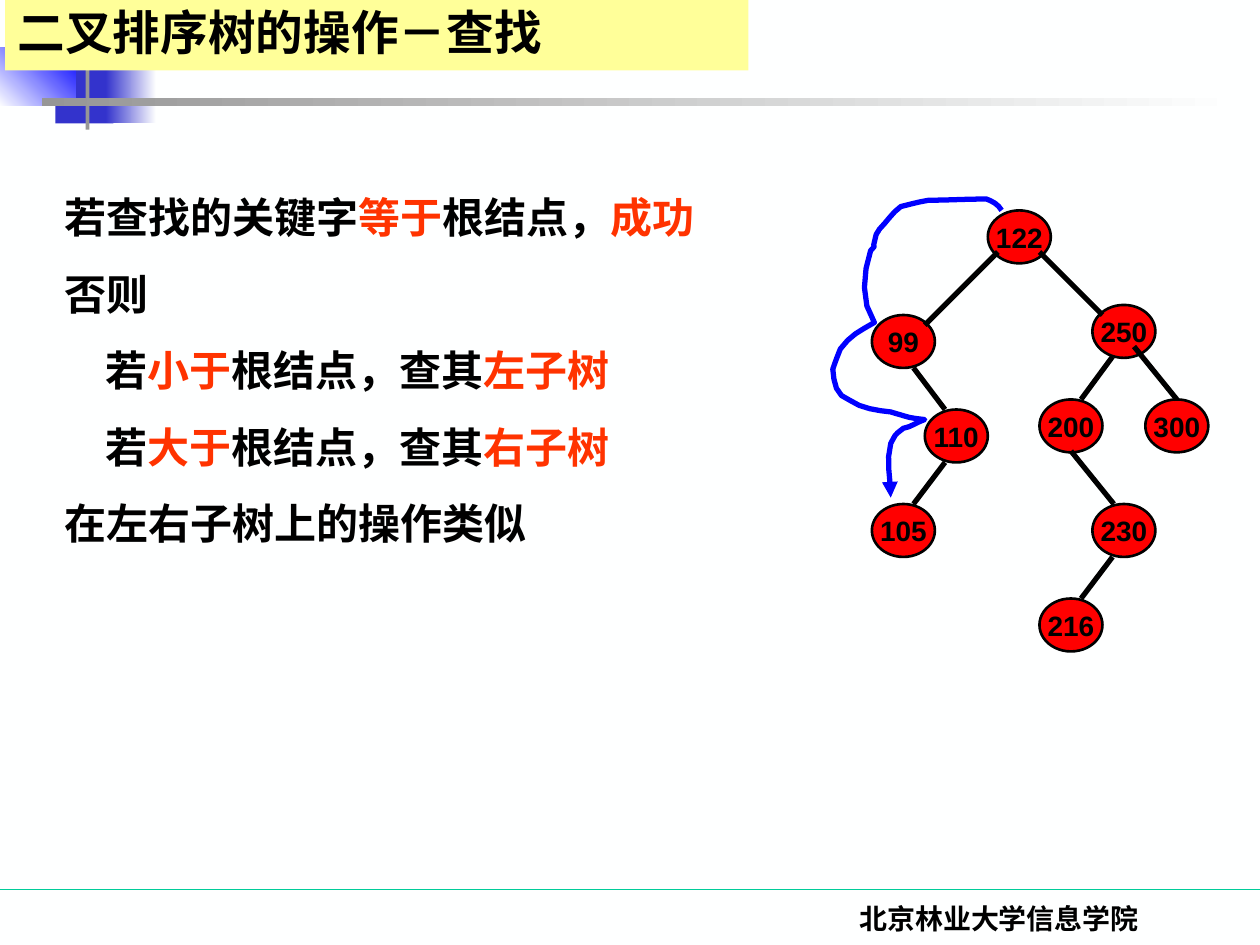
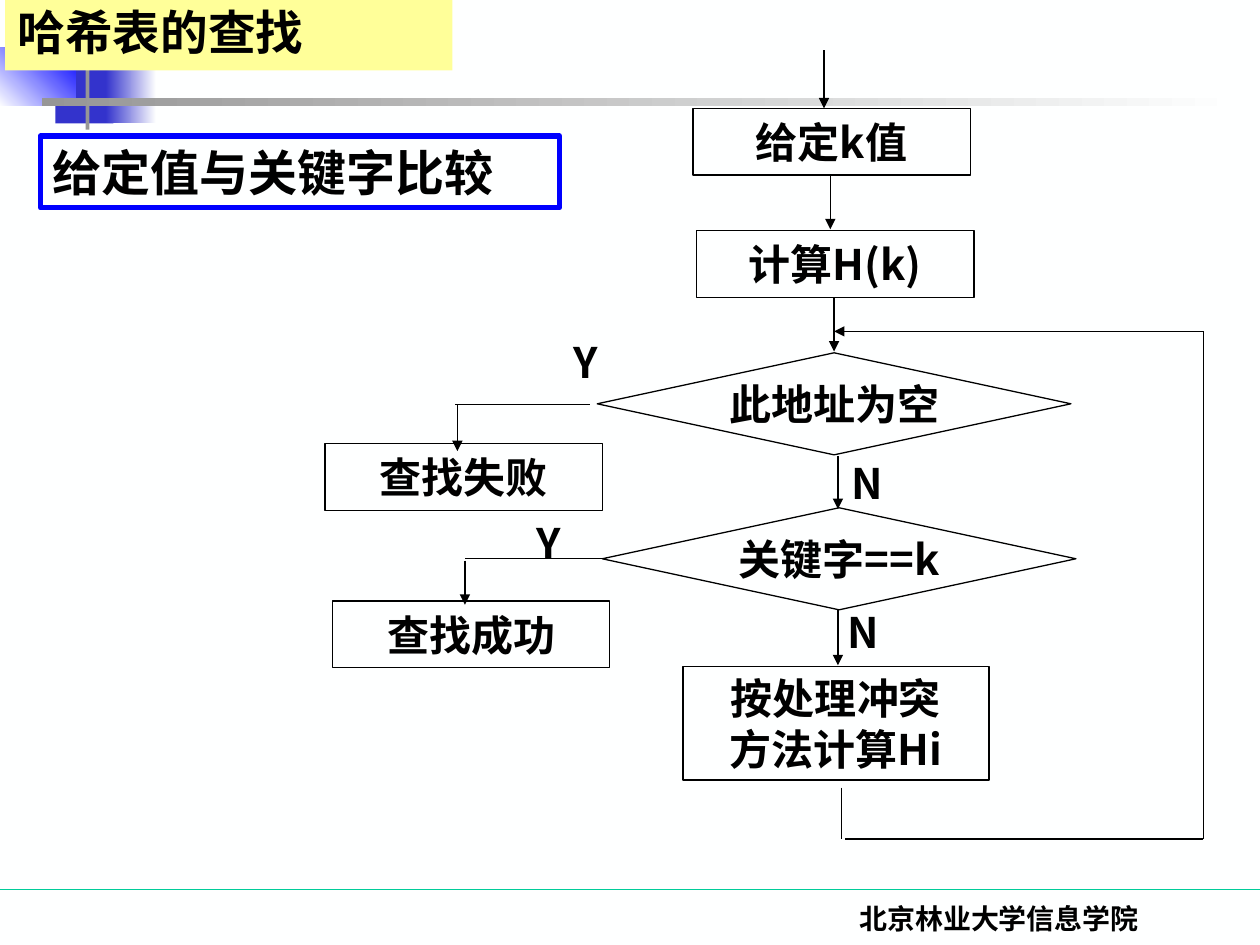
from lxml import etree
from pptx import Presentation
from pptx.dml.color import RGBColor
from pptx.enum.shapes import MSO_CONNECTOR, MSO_SHAPE
from pptx.enum.text import MSO_ANCHOR, PP_ALIGN
from pptx.oxml.ns import qn
from pptx.util import Inches, Pt

RECT, OVAL = MSO_SHAPE.RECTANGLE, MSO_SHAPE.OVAL
STEP, TEST = MSO_SHAPE.FLOWCHART_PROCESS, MSO_SHAPE.FLOWCHART_DECISION
LEFT, MID = PP_ALIGN.LEFT, PP_ALIGN.CENTER
TOP, CENTER = MSO_ANCHOR.TOP, MSO_ANCHOR.MIDDLE
STRAIGHT = MSO_CONNECTOR.STRAIGHT
HAN = "Noto Sans CJK SC"
BLACK, WHITE, RED, BLUE = "000000", "FEFFFF", "FF3300", "0000FF"
GRAY, NAVY, INDIGO = "969696", "003366", "3333CC"
rgb = RGBColor.from_string


def box(slide, kind, at, text="", size=24, fill=None, line=None, width=0.75,
        font=HAN, align=LEFT, anchor=CENTER):
    """Add a shape, or a text box if kind is None; |marks| make text red."""
    spot = [Inches(v) for v in at]
    if kind is None:
        shape = slide.shapes.add_textbox(*spot)
    else:
        shape = slide.shapes.add_shape(kind, *spot)
        shape.shadow.inherit = False
    if isinstance(fill, tuple):
        shape.fill.gradient()
        shape.fill.gradient_angle = fill[2]
        for stop, color in zip(shape.fill.gradient_stops, fill):
            stop.color.rgb = rgb(color)
    elif fill:
        shape.fill.solid()
        shape.fill.fore_color.rgb = rgb(fill)
    else:
        shape.fill.background()
    if line:
        shape.line.color.rgb = rgb(line)
        shape.line.width = Pt(width)
    else:
        shape.line.fill.background()
    if not text:
        return shape
    frame = shape.text_frame
    frame.text = text
    frame.word_wrap = align == LEFT
    frame.vertical_anchor = anchor
    for para in frame.paragraphs:
        para.alignment = align
        parts = para.text.split("|")
        para.text = parts[0]
        for part in parts[1:]:
            para.add_run().text = part
        for i, run in enumerate(para.runs):
            run.font.size = Pt(size)
            run.font.bold = True
            run.font.color.rgb = rgb(RED if i % 2 else BLACK)
            run.font.name = font
            east = etree.SubElement(run.font._element, qn("a:ea"))
            east.set("typeface", HAN)
    return shape


def link(slide, x1, y1, x2, y2, head=False, color=BLACK, width=0.75):
    """Add a straight line, with an arrowhead at its end if asked."""
    ends = [Inches(v) for v in (x1, y1, x2, y2)]
    wire = slide.shapes.add_connector(STRAIGHT, *ends)
    wire.line.color.rgb = rgb(color)
    wire.line.width = Pt(width)
    etree.SubElement(wire._element.spPr, qn("a:effectLst"))
    if head:
        tail = etree.SubElement(wire.line._get_or_add_ln(), qn("a:tailEnd"))
        tail.set("type", "triangle")


deck = Presentation()
deck.slide_width, deck.slide_height = Inches(10), Inches(7.5)

# Shared look: background, corner art, footer and title band
art = [
    ((0.31, 0, 0.48, 0.52), NAVY),
    ((0.72, 0, 0.36, 0.52), (NAVY, WHITE, 0)),
    ((0.44, 0.46, 0.46, 0.52), INDIGO),
    ((0.84, 0.46, 0.4, 0.52), (INDIGO, WHITE, 0)),
    ((-0.01, 0.38, 0.61, 0.46), (WHITE, BLUE, 45)),
    ((0.68, -0.12, 0.03, 1.15), GRAY),
    ((0.33, 0.78, 9.51, 0.06), (GRAY, WHITE, 0)),
]
slides = []
for title, wide in (("二叉排序树的操作－查找", 5.9), ("哈希表的查找", 3.55)):
    slide = deck.slides.add_slide(deck.slide_layouts[6])
    slide.background.fill.solid()
    slide.background.fill.fore_color.rgb = rgb(WHITE)
    link(slide, 0, 7.06, 10, 7.06, color="00CC99")
    for at, fill in art:
        box(slide, RECT, at, fill=fill)
    box(slide, None, (5.86, 7.11, 4.14, 0.5), "北京林业大学信息学院", 16,
        font="Times New Roman", align=MID, anchor=TOP)
    band = box(slide, RECT, (0.04, 0, wide, 0.56), title, 27.2, fill="FFFF99")
    band.text_frame.paragraphs[0].line_spacing = 0.9
    slides.append(slide)
tree, hash_flow = slides

# Slide 1: search rules
rules = """若查找的关键字|等于|根结点，|成功
否则
若|小于|根结点，查其|左子树
若|大于|根结点，查其|右子树
在左右子树上的操作类似"""
body = box(tree, None, (-0.09, 1.47, 6.04, 2.94), rules, anchor=TOP)
body.text_frame.margin_left = Inches(0.6)
for para in body.text_frame.paragraphs:
    para.space_before = Pt(15)
    if para.text.startswith("若") and "查其" in para.text:
        para._p.get_or_add_pPr().set("marL", str(Inches(0.33)))

# Slide 1: tree nodes and branches
nodes = {122: (7.84, 1.67), 250: (8.67, 2.42), 300: (9.09, 3.17),
         110: (7.34, 3.25), 200: (8.25, 3.17), 99: (6.92, 2.5),
         105: (6.92, 4), 230: (8.67, 4), 216: (8.25, 4.75)}
for key, (x, y) in nodes.items():
    box(tree, OVAL, (x, y, 0.5, 0.42), str(key), 16, fill="FF0000",
        line=BLACK, width=1.5, font="Arial", align=MID)
for ends in ((7.92, 2, 7.34, 2.58), (8.25, 2, 8.75, 2.5),
             (9, 2.75, 9.34, 3.17), (8.83, 2.83, 8.58, 3.17),
             (7.25, 2.92, 7.5, 3.25), (7.5, 3.67, 7.25, 4),
             (8.5, 3.58, 8.84, 4), (8.83, 4.42, 8.58, 4.75)):
    link(tree, *ends, width=3)

# Slide 1: search route, each curve as two controls and an end point
route = [
    (7.92, 1.62, 7.88, 1.6, 7.83, 1.58), (7.67, 1.58, 7.52, 1.59, 7.37, 1.59),
    (7.3, 1.6, 7.15, 1.64, 7.15, 1.64), (7.08, 1.69, 7.04, 1.76, 6.98, 1.82),
    (6.97, 1.84, 6.95, 1.86, 6.95, 1.88), (6.91, 2.01, 6.97, 1.92, 6.91, 1.99),
    (6.85, 2.17, 6.83, 2.4, 6.94, 2.56), (6.82, 2.63, 6.75, 2.66, 6.67, 2.77),
    (6.65, 2.82, 6.63, 2.87, 6.61, 2.93), (6.62, 3.04, 6.63, 3.14, 6.75, 3.18),
    (6.83, 3.24, 6.97, 3.26, 7.07, 3.27), (7.1, 3.28, 7.14, 3.29, 7.17, 3.3),
    (7.22, 3.32, 7.34, 3.33, 7.34, 3.33), (7.28, 3.35, 7.23, 3.39, 7.17, 3.4),
    (7.09, 3.46, 7.11, 3.45, 7.07, 3.52), (7.03, 3.66, 7.07, 3.8, 7.07, 3.95),
]
x, y = 7.95, 1.67
pen = tree.shapes.build_freeform(Inches(x), Inches(y))
dots = []
for x1, y1, x2, y2, x3, y3 in route:
    for t in (0.25, 0.5, 0.75, 1):
        a, b, c, d = (1 - t)**3, 3 * t * (1 - t)**2, 3 * t * t * (1 - t), t**3
        dots.append((Inches(a * x + b * x1 + c * x2 + d * x3),
                     Inches(a * y + b * y1 + c * y2 + d * y3)))
    x, y = x3, y3
pen.add_line_segments(dots, close=False)
trail = pen.convert_to_shape()
trail.shadow.inherit = False
trail.fill.background()
trail.line.color.rgb = rgb(BLUE)
trail.line.width = Pt(3)
tip = etree.SubElement(trail.line._get_or_add_ln(), qn("a:tailEnd"))
tip.set("type", "triangle")

# Slide 2: flowchart boxes
for kind, x, y, wide, high, text in (
        (STEP, 5.5, 0.86, 2.2, 0.53, "给定k值"),
        (STEP, 5.53, 1.83, 2.2, 0.53, "计算H(k)"),
        (TEST, 4.74, 2.8, 3.76, 0.81, "此地址为空"),
        (TEST, 4.78, 4.03, 3.76, 0.81, "关键字==k"),
        (STEP, 2.58, 3.52, 2.2, 0.53, "查找失败"),
        (STEP, 2.64, 4.77, 2.2, 0.53, "查找成功"),
        (STEP, 5.42, 5.29, 2.43, 0.9, "按处理冲突\n方法计算Hi")):
    box(hash_flow, kind, (x, y, wide, high), text, line=BLACK, align=MID)

# Slide 2: arrows down, then plain lines, then the loop back
for x, y1, y2 in ((6.54, 0.4, 0.86), (6.59, 1.39, 1.82), (6.62, 2.36, 2.79),
                  (6.65, 3.62, 4.04), (6.65, 4.84, 5.28),
                  (3.63, 3.21, 3.58), (3.69, 4.45, 4.8)):
    link(hash_flow, x, y1, x, y2, head=True)
for ends in ((4.68, 3.21, 3.61, 3.21), (4.79, 4.43, 3.69, 4.43),
             (6.68, 6.25, 6.68, 6.66), (6.71, 6.66, 9.55, 6.66),
             (9.55, 6.66, 9.55, 2.63)):
    link(hash_flow, *ends)
link(hash_flow, 9.55, 2.63, 6.62, 2.63, head=True)

# Slide 2: branch labels and subtitle
for text, x, y in (("Y", 4.45, 2.62), ("N", 6.66, 3.58),
                   ("Y", 4.16, 4.06), ("N", 6.63, 4.76)):
    box(hash_flow, None, (x, y, 0.45, 0.5), text)
box(hash_flow, RECT, (0.32, 1.08, 4.12, 0.57), "给定值与关键字比较", 28,
    line=BLUE, width=3)

deck.save("out.pptx")
